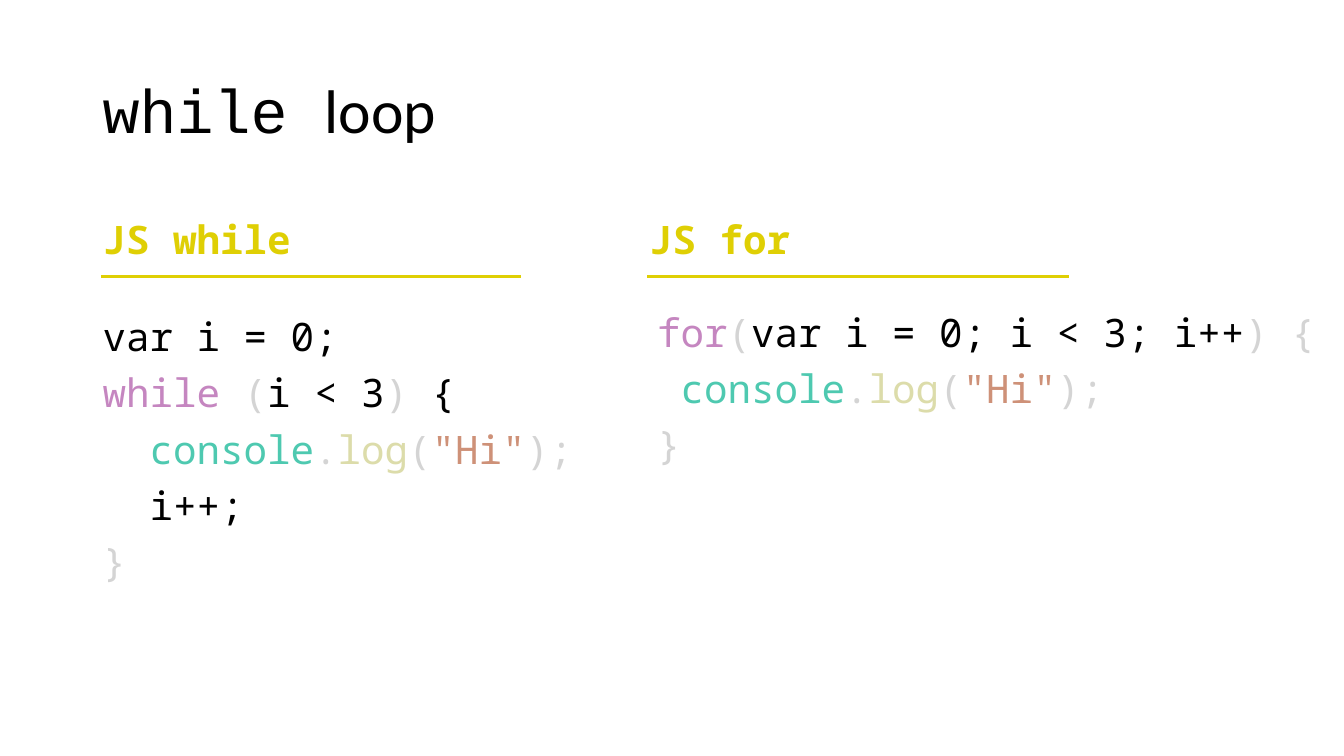
"""Build a slide comparing the JavaScript while and for loops."""
from lxml.etree import SubElement
from pptx import Presentation
from pptx.dml.color import RGBColor
from pptx.enum.shapes import MSO_CONNECTOR
from pptx.enum.text import MSO_ANCHOR
from pptx.oxml.ns import qn
from pptx.util import Inches, Pt

BLACK = RGBColor(0x00, 0x00, 0x00)
YELLOW = RGBColor(0xDF, 0xCF, 0x04)
KEYWORD = RGBColor(0xC5, 0x86, 0xC0)
PUNCTUATION = RGBColor(0xD4, 0xD4, 0xD4)
OBJECT = RGBColor(0x4E, 0xC9, 0xB0)
METHOD = RGBColor(0xDC, 0xDC, 0xAA)
STRING = RGBColor(0xCE, 0x91, 0x78)
MONO = "Noto Sans Mono"


def add_text_frame(left, top, width, height):
    frame = slide.shapes.add_textbox(
        Inches(left), Inches(top), Inches(width), Inches(height)
    ).text_frame
    frame.word_wrap = True
    return frame


def add_run(paragraph, text, color, size=28, font=MONO, bold=False):
    run = paragraph.add_run()
    run.text = text
    run.font.size = Pt(size)
    run.font.name = font
    run.font.bold = bold
    run.font.color.rgb = color


presentation = Presentation()
presentation.slide_width = Inches(13.33)
presentation.slide_height = Inches(7.5)
slide = presentation.slides.add_slide(presentation.slide_layouts[6])

title = add_text_frame(0.92, 0.4, 11.5, 1.45)
title.vertical_anchor = MSO_ANCHOR.MIDDLE
title.paragraphs[0].line_spacing = 0.9
add_run(title.paragraphs[0], "while ", BLACK, 44, "Courier New")
add_run(title.paragraphs[0], "loop", BLACK, 44, "Calibri")

log_call = [
    (".", PUNCTUATION), ("log", METHOD), ("(", PUNCTUATION),
    ('"Hi"', STRING), (");", PUNCTUATION),
]
closing_brace = [("}", PUNCTUATION)]
while_code = [
    [("var i = 0;", BLACK)],
    [("while", KEYWORD), (" (", PUNCTUATION), ("i < 3", BLACK),
     (") ", PUNCTUATION), ("{", BLACK)],
    [("  console", OBJECT), *log_call],
    [("  i++;", BLACK)],
    closing_brace,
]
for_code = [
    [("for", KEYWORD), ("(", PUNCTUATION),
     ("var i = 0; i < 3; i++", BLACK), (") {", PUNCTUATION)],
    [(" console", OBJECT), *log_call],
    closing_brace,
]

columns = [
    ("JS while", 0.92, (1.0, 5.17), (0.92, 3.1, 5.11, 3.68), while_code),
    ("JS for", 6.34, (6.42, 10.6), (6.42, 3.06, 6.79, 2.86), for_code),
]
for heading, heading_left, (rule_start, rule_end), code_box, code in columns:
    heading_frame = add_text_frame(heading_left, 2.09, 4.25, 0.57)
    add_run(heading_frame.paragraphs[0], heading, YELLOW, bold=True)

    rule = slide.shapes.add_connector(
        MSO_CONNECTOR.STRAIGHT,
        Inches(rule_start), Inches(2.74), Inches(rule_end), Inches(2.74),
    )
    rule.line.color.rgb = YELLOW
    rule.line.width = Pt(2.25)
    SubElement(rule._element.spPr, qn("a:effectLst"))

    code_frame = add_text_frame(*code_box)
    for number, tokens in enumerate(code):
        line = code_frame.add_paragraph() if number else code_frame.paragraphs[0]
        line.line_spacing = 0.9
        line.space_before = Pt(10)
        for text, color in tokens:
            add_run(line, text, color)

presentation.save("out.pptx")
